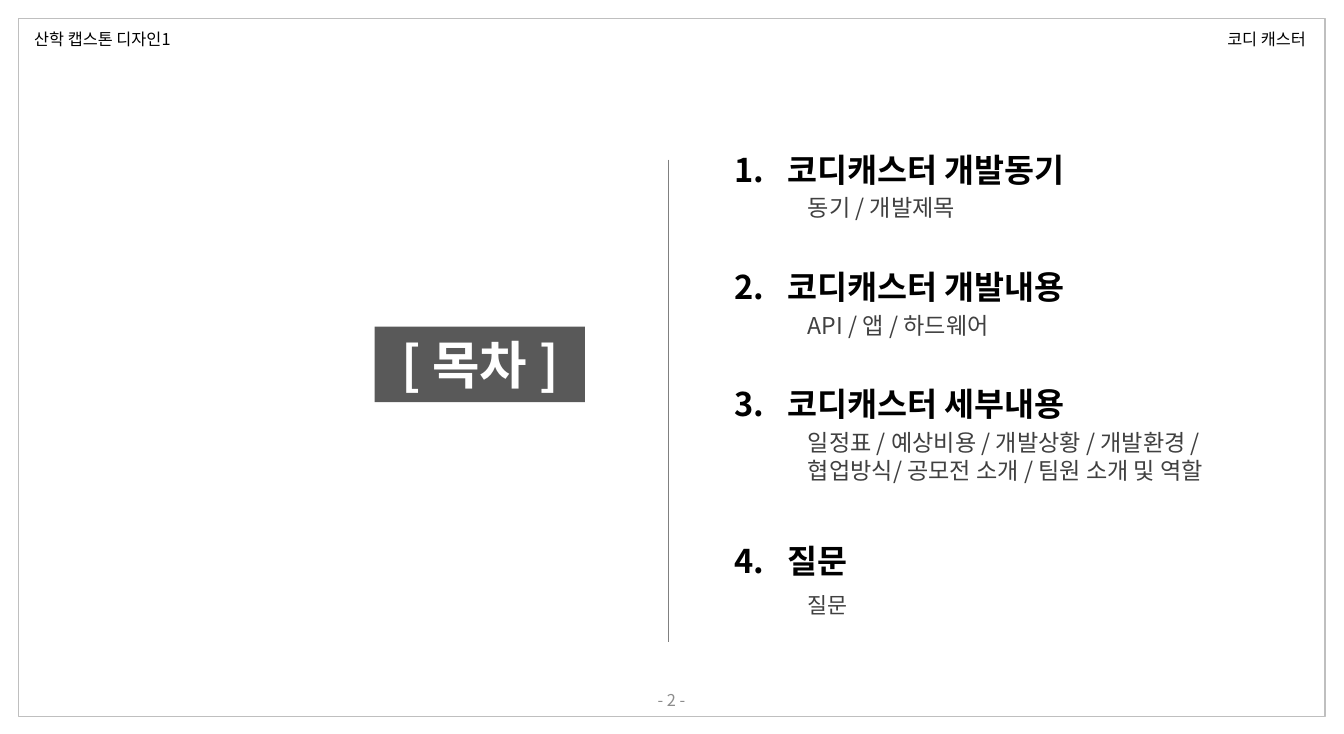
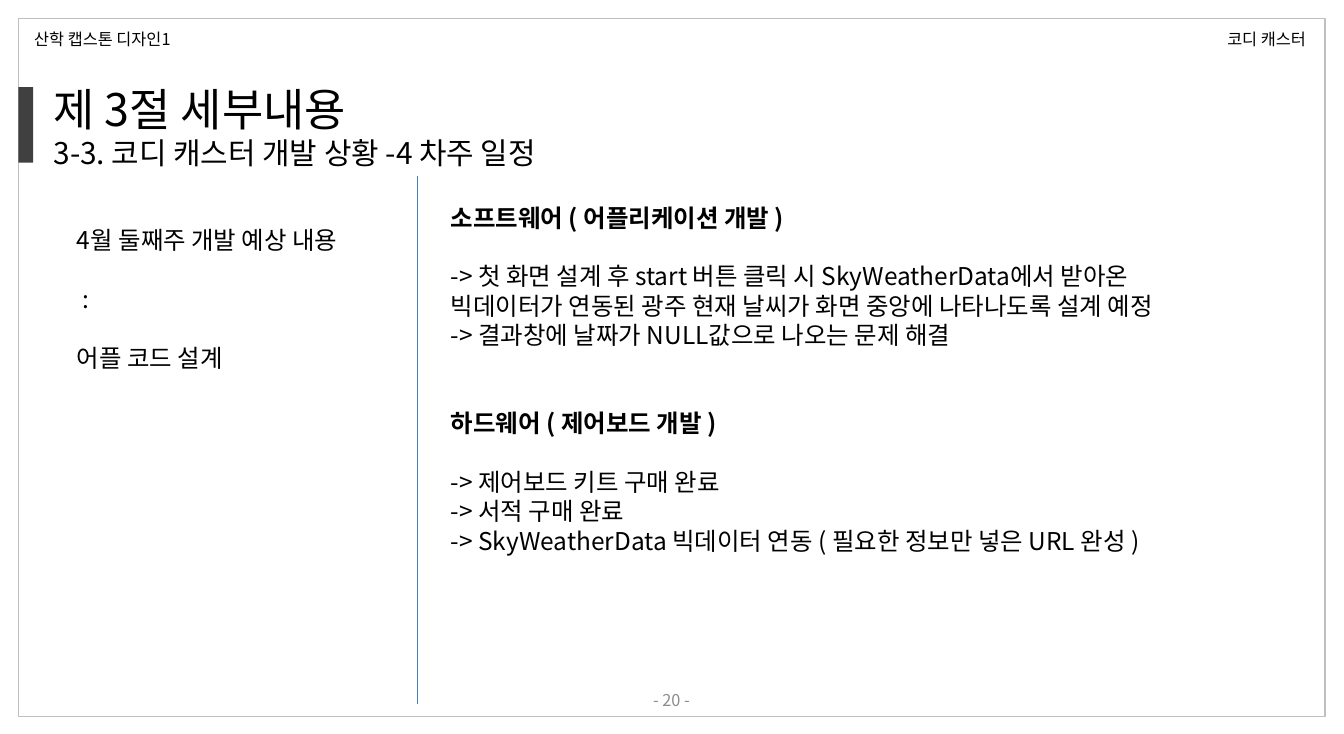
from lxml.etree import SubElement
from pptx import Presentation
from pptx.dml.color import RGBColor
from pptx.enum.dml import MSO_LINE
from pptx.enum.shapes import MSO_CONNECTOR, MSO_SHAPE
from pptx.enum.text import MSO_ANCHOR, PP_ALIGN
from pptx.oxml.ns import qn
from pptx.util import Cm, Pt

FONT = "Noto Sans CJK KR"
COLORS = {
    "text": "000000", "detail": "404040", "label": "595959", "white": "FFFFFF",
    "frame": "BFBFBF", "page": "8C8C8C", "dotted": "808080", "rule": "4B7EBC",
}
SLIDE_WIDTH, SLIDE_HEIGHT = 34.9, 19.05
FRAME = (0.48, 0.48, 33.93, 18.11)
LINE_HEIGHT = 1.2
CM_PER_POINT = 2.54 / 72
WIDE_INSETS = (0.33, 0.15)
PLAIN_INSETS = (0.25, 0.13)

AGENDA_SIZE = 24
AGENDA = [
    {"title": "1.\t코디캐스터 개발동기", "detail": "동기 / 개발제목"},
    {"title": "2.\t코디캐스터 개발내용", "detail": "API / 앱 / 하드웨어", "blank": 2},
    {"title": "3.\t코디캐스터 세부내용", "blank": 2,
     "detail": "일정표 / 예상비용 / 개발상황 / 개발환경 / 협업방식/ 공모전 소개 / 팀원 소개 및 역할"},
    {"title": "4.\t질문", "detail": "질문", "blank": 3, "size": 16, "drop": 1.32},
]
PLAN = [
    {"text": "4월 둘째주 개발 예상 내용"},
    {"text": ":", "blank": 1, "indent": 0.15},
    {"text": "어플 코드 설계", "blank": 1},
]
PROGRESS = [
    {"text": "소프트웨어 ( 어플리케이션 개발 )", "bold": True},
    {"text": "-> 첫 화면 설계 후 start 버튼 클릭 시 SkyWeatherData에서 받아온 "
             "빅데이터가 연동된 광주 현재 날씨가 화면 중앙에 나타나도록 설계 예정", "blank": 1},
    {"text": "-> 결과창에 날짜가 NULL값으로 나오는 문제 해결"},
    {"text": "하드웨어 ( 제어보드 개발 )", "bold": True, "blank": 2},
    {"text": "-> 제어보드 키트 구매 완료", "blank": 1},
    {"text": "-> 서적 구매 완료"},
    {"text": "-> SkyWeatherData 빅데이터 연동 ( 필요한 정보만 넣은 URL 완성 )"},
]


def color(name):
    """Return the named palette colour."""
    return RGBColor.from_string(COLORS[name])


def add_rectangle(slide, box, fill=None, line=None):
    """Add a flat rectangle with an optional fill and outline."""
    shape = slide.shapes.add_shape(MSO_SHAPE.RECTANGLE, *map(Cm, box))
    shape.shadow.inherit = False
    if fill:
        shape.fill.solid()
        shape.fill.fore_color.rgb = color(fill)
    else:
        shape.fill.background()
    if line:
        shape.line.color.rgb = color(line)
        shape.line.width = Pt(1)
    else:
        shape.line.fill.background()
    return shape


def add_vertical_line(slide, left, top, bottom, line, width):
    """Add a straight vertical rule without a shadow."""
    connector = slide.shapes.add_connector(
        MSO_CONNECTOR.STRAIGHT, Cm(left), Cm(top), Cm(left), Cm(bottom))
    connector.line.color.rgb = color(line)
    connector.line.width = Pt(width)
    SubElement(connector._element.spPr, qn("a:effectLst"))
    return connector


def set_text(shape, paragraphs, size, tint="text", align=PP_ALIGN.LEFT,
             anchor=MSO_ANCHOR.TOP, insets=PLAIN_INSETS, wrap=True):
    """Fill a shape with paragraphs; blank counts the lines left free above one."""
    frame = shape.text_frame
    frame.word_wrap = wrap
    frame.vertical_anchor = anchor
    frame.margin_left = frame.margin_right = Cm(insets[0])
    frame.margin_top = frame.margin_bottom = Cm(insets[1])
    for index, entry in enumerate(paragraphs):
        paragraph = frame.add_paragraph() if index else frame.paragraphs[0]
        paragraph.text = entry["text"]
        paragraph.alignment = align
        paragraph.space_before = Pt(entry.get("blank", 0) * size * LINE_HEIGHT)
        properties = paragraph._p.get_or_add_pPr()
        properties.set("marL", str(Cm(entry.get("indent", 0))))
        properties.set("indent", str(-Cm(entry.get("hanging", 0))))
        for run in paragraph.runs:
            run.font.size = Pt(entry.get("size", size))
            run.font.bold = entry.get("bold", False)
            run.font.name = FONT
            run.font.color.rgb = color(tint)
            SubElement(run._r.get_or_add_rPr(), qn("a:ea"), typeface=FONT)


def add_text(slide, box, paragraphs, size, **style):
    """Add a text box holding one string or a list of paragraphs."""
    if isinstance(paragraphs, str):
        paragraphs = [{"text": paragraphs}]
    set_text(slide.shapes.add_textbox(*map(Cm, box)), paragraphs, size, **style)


def add_base_slide(presentation, number):
    """Add a blank slide with the shared frame, headers and page number."""
    slide = presentation.slides.add_slide(presentation.slide_layouts[6])
    add_rectangle(slide, FRAME, line="frame")
    add_text(slide, (0.64, 0.64, 5.59, 0.76), "산학 캡스톤 디자인1", 12)
    add_text(slide, (31.62, 0.64, 3.12, 0.76), "코디 캐스터", 12)
    add_text(slide, (11.91, 17.65, 11.05, 1.02), f"- {number} -", 12, tint="page",
             align=PP_ALIGN.CENTER, anchor=MSO_ANCHOR.MIDDLE)
    return slide


def add_agenda(slide, box):
    """Add the numbered headings and the detail line below each one."""
    left, top, width, height = box
    headings = [{"text": entry["title"], "blank": entry.get("blank", 0), "bold": True,
                 "indent": 1.37, "hanging": 1.37} for entry in AGENDA]
    add_text(slide, box, headings, AGENDA_SIZE, insets=WIDE_INSETS)
    line = 0
    for entry in AGENDA:
        line += entry.get("blank", 0)
        detail_top = top + line * AGENDA_SIZE * LINE_HEIGHT * CM_PER_POINT
        detail_top += entry.get("drop", 1.15)
        add_text(slide, (left + 1.9, round(detail_top, 2), 12.7, 1.02), entry["detail"],
                 entry.get("size", 17), tint="detail", insets=WIDE_INSETS)
        line += 1


def add_section_title(slide, box, title, subtitle):
    """Add the accent bar at the frame's edge and the two-line title."""
    left, top, width, height = box
    add_rectangle(slide, (left, top + 0.28, 0.38, 1.96), fill="detail")
    add_text(slide, (left + 0.66, top, width - 0.66, height),
             [{"text": title}, {"text": subtitle, "size": 22}], 33)


def add_contents_slide(presentation):
    """Build the table of contents."""
    slide = add_base_slide(presentation, 2)
    label = add_rectangle(slide, (9.73, 8.48, 5.46, 1.96), fill="label")
    set_text(label, [{"text": "[ 목차 ]", "bold": True}], 38, tint="white",
             align=PP_ALIGN.CENTER, insets=WIDE_INSETS, wrap=False)
    divider = add_vertical_line(slide, 17.35, 4.14, 16.64, "dotted", 0.25)
    divider.line.dash_style = MSO_LINE.ROUND_DOT
    add_agenda(slide, (18.75, 3.73, 15.5, 12.65))


def add_schedule_slide(presentation):
    """Build the weekly schedule with the plan beside the progress."""
    slide = add_base_slide(presentation, 20)
    add_section_title(slide, (FRAME[0], 1.98, 19.94, 2.62), "제 3절 세부내용",
                      "3-3. 코디 캐스터 개발 상황 -4 차주 일정")
    add_vertical_line(slide, 10.85, 4.57, 18.26, "rule", 0.75)
    add_text(slide, (1.75, 5.72, 8.9, 4.11), PLAN, 18)
    add_text(slide, (11.46, 5.13, 20.4, 11.79), PROGRESS, 18)


def main():
    """Create and save the presentation."""
    presentation = Presentation()
    presentation.slide_width = Cm(SLIDE_WIDTH)
    presentation.slide_height = Cm(SLIDE_HEIGHT)
    add_contents_slide(presentation)
    add_schedule_slide(presentation)
    presentation.save("out.pptx")


if __name__ == "__main__":
    main()
